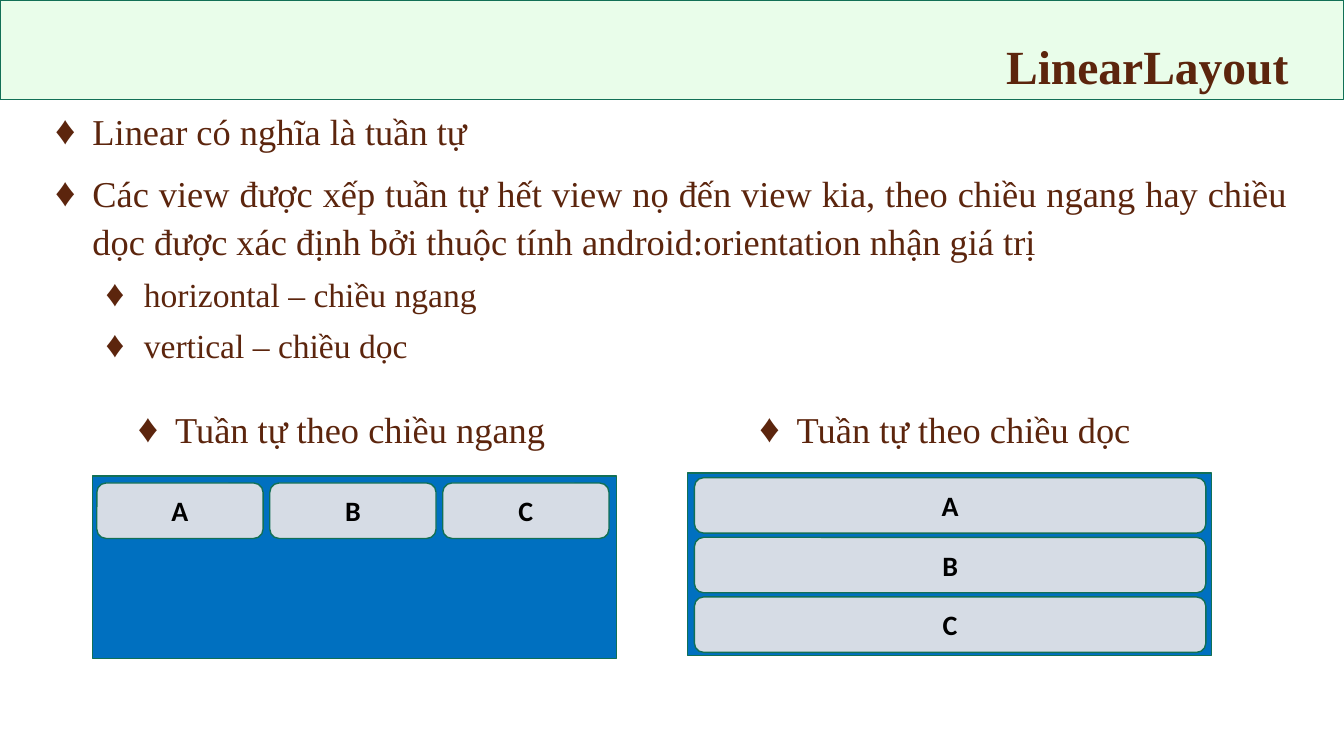
"""Builds a slide on the two directions of LinearLayout."""
import lxml.etree
import pptx
import pptx.dml.color
import pptx.enum.shapes
import pptx.enum.text
import pptx.oxml.ns
import pptx.util

Pt = pptx.util.Pt
Kind = pptx.enum.shapes.MSO_SHAPE
Align = pptx.enum.text.PP_ALIGN
Anchor = pptx.enum.text.MSO_ANCHOR
BROWN, GREEN, MINT, BLUE, GREY, BLACK = (
    "5C250D", "127056", "E9FDEA", "0070C0", "D6DCE5", "000000")
SERIF, SANS = "Times New Roman", "Calibri"


def paint(code):
    return pptx.dml.color.RGBColor.from_string(code)


def apply(item, values):
    for name, value in values.items():
        setattr(item, name, value)


class Sheet:
    def __init__(self, deck):
        self.slide = deck.slides.add_slide(deck.slide_layouts[5])
        self.shapes = self.slide.shapes

    def label(self, par, text, size, font=SERIF, color=BROWN, bold=False, **form):
        run = par.add_run()
        run.text = text
        apply(run.font, {"size": Pt(size), "name": font, "bold": bold})
        run.font.color.rgb = paint(color)
        apply(par, form)

    def title(self, text, *box):
        item = self.shapes.title
        apply(item, dict(zip(("left", "top", "width", "height"), map(Pt, box))))
        apply(item.text_frame, {"vertical_anchor": Anchor.BOTTOM, "word_wrap": True,
                                "auto_size": pptx.enum.text.MSO_AUTO_SIZE.NONE})
        self.label(item.text_frame.paragraphs[0], text, 34, bold=True,
                   alignment=Align.RIGHT, line_spacing=0.9)

    def block(self, box, fill, kind=Kind.RECTANGLE, host=None):
        item = (host or self.slide).shapes.add_shape(kind, *map(Pt, box))
        item.shadow.inherit = False
        item.fill.solid()
        item.fill.fore_color.rgb = paint(fill)
        item.line.color.rgb = paint(GREEN)
        item.line.width = Pt(1)
        return item

    def band(self, *box):
        self.shapes.element.insert(2, self.block(box, MINT).element)

    def bullet(self, par, left, hang):
        props = par._p.get_or_add_pPr()
        props.set("marL", str(Pt(left)))
        props.set("indent", str(-Pt(hang)))

        def add(host, tag, **attrs):
            return lxml.etree.SubElement(host, pptx.oxml.ns.qn("a:" + tag), attrs)

        add(add(props, "buClr"), "srgbClr", val=BROWN)
        add(props, "buSzPct", val="110000")
        add(props, "buFont", typeface=SERIF)
        add(props, "buChar", char="♦")

    def bullets(self, box, rows):
        frame = self.shapes.add_textbox(*map(Pt, box)).text_frame
        frame.word_wrap = True
        for index, (level, text) in enumerate(rows):
            par = frame.add_paragraph() if index else frame.paragraphs[0]
            size, gap, left, hang = ((26, 10, 26.64, 26.64), (24, 5, 63.36, 27.36))[level]
            self.label(par, text, size, level=level, alignment=Align.JUSTIFY,
                       line_spacing=1.1, space_before=Pt(gap))
            self.bullet(par, left, hang)

    def panel(self, box, cell, step):
        group = self.shapes.add_group_shape()
        self.block(box, BLUE, host=group)
        left, top, width, height = cell
        for index, name in enumerate("ABC"):
            spot = (left + index * step[0], top + index * step[1], width, height)
            item = self.block(spot, GREY, Kind.ROUNDED_RECTANGLE, group)
            item.text_frame.vertical_anchor = Anchor.MIDDLE
            self.label(item.text_frame.paragraphs[0], name, 20, SANS, BLACK, True,
                       alignment=Align.CENTER)


def main():
    deck = pptx.Presentation()
    apply(deck, {"slide_width": Pt(960.48), "slide_height": Pt(540)})
    sheet = Sheet(deck)
    sheet.band(0, 0, 960, 71.3)
    sheet.title("LinearLayout", 32.4, 0, 895.7, 71.3)
    sheet.bullets((32.4, 71.3, 895.7, 414.7), [
        (0, "Linear có nghĩa là tuần tự"),
        (0, "Các view được xếp tuần tự hết view nọ đến view kia, theo chiều ngang "
            "hay chiều dọc được xác định bởi thuộc tính android:orientation nhận giá trị"),
        (1, "horizontal – chiều ngang"),
        (1, "vertical – chiều dọc"),
    ])
    sheet.panel((66.2, 339.9, 374.4, 130.3), (69.2, 345, 118.8, 39.6), (123.6, 0))
    sheet.panel((491.3, 337.9, 374.4, 130.3), (496.3, 341.2, 365.5, 39.6), (0, 42.6))
    sheet.bullets((91.4, 284.4, 323.3, 46.8), [(0, "Tuần tự theo chiều ngang")])
    sheet.bullets((535.7, 284.4, 285.1, 46.8), [(0, "Tuần tự theo chiều dọc")])
    deck.save("out.pptx")


if __name__ == "__main__":
    main()
